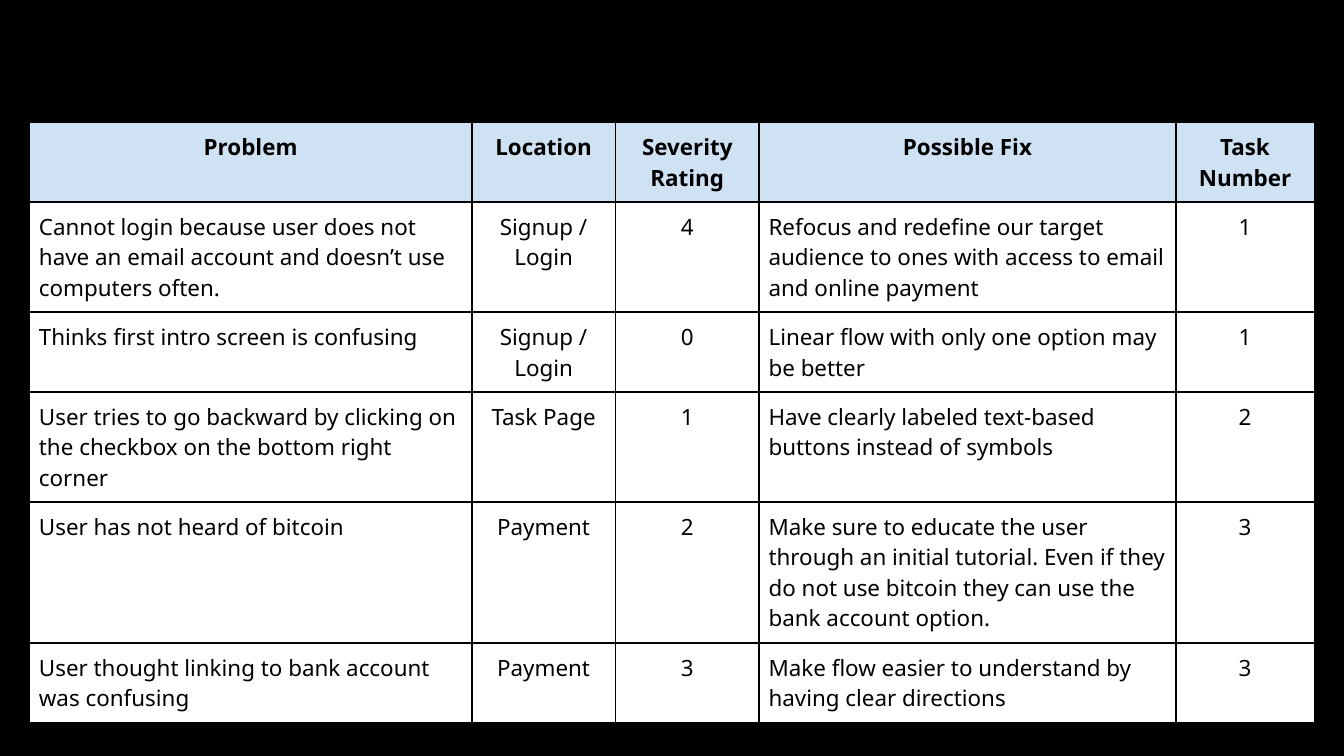
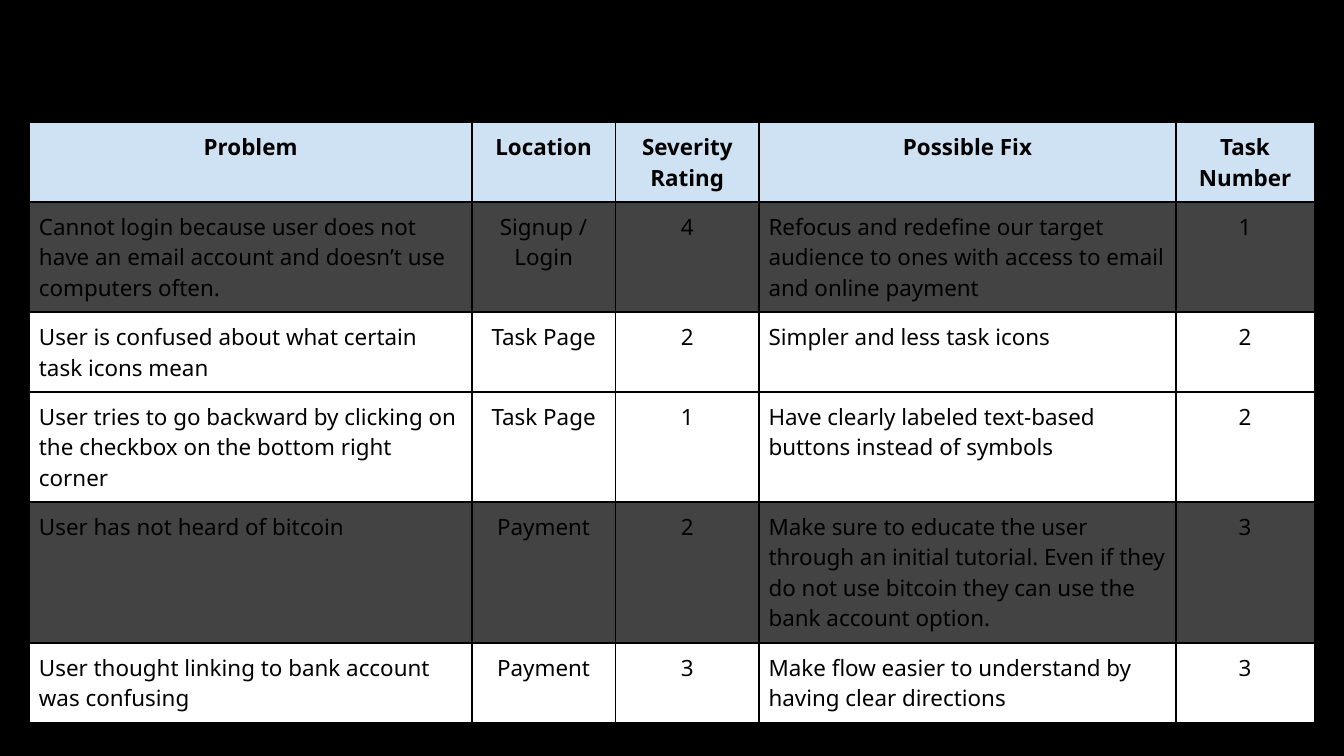
import pptx
import pptx.dml.color
import pptx.enum.text
import pptx.oxml
import pptx.oxml.ns
import pptx.util

Pt = pptx.util.Pt
COLOURS = {"black": "000000", "header": "CFE2F3", "white": "FFFFFF", "dimmed": "434343"}
FONT = "Noto Sans"
COLUMN_WIDTHS = [236.9, 77, 77, 223.2, 74.2]
LEFT_ALIGNED = {0, 3}
TABLE_LEFT, TABLE_TOP, FRAME_SIZE = 15.84, 65.5, 236.2
ROW_HEIGHT = 0.72
CELL_MARGIN = 5.04

HEADINGS = ["Problem", "Location", "Severity Rating", "Possible Fix", "Task Number"]
NO_EMAIL = [
    "Cannot login because user does not have an email account and doesn’t use computers often.",
    "Signup / Login", "4",
    "Refocus and redefine our target audience to ones with access to email and online payment",
    "1",
]
CONFUSING_INTRO = [
    "Thinks first intro screen is confusing", "Signup / Login", "0",
    "Linear flow with only one option may be better", "1",
]
CONFUSING_ICONS = [
    "User is confused about what certain task icons mean", "Task Page", "2",
    "Simpler and less task icons", "2",
]
GOING_BACK = [
    "User tries to go backward by clicking on the checkbox on the bottom right corner",
    "Task Page", "1", "Have clearly labeled text-based buttons instead of symbols", "2",
]
UNKNOWN_BITCOIN = [
    "User has not heard of bitcoin", "Payment", "2",
    "Make sure to educate the user through an initial tutorial. "
    "Even if they do not use bitcoin they can use the bank account option.",
    "3",
]
BANK_LINKING = [
    "User thought linking to bank account was confusing", "Payment", "3",
    "Make flow easier to understand by having clear directions", "3",
]


def colour(name):
    """Return the named colour as an RGBColor."""
    return pptx.dml.color.RGBColor.from_string(COLOURS[name])


def add_borders(cell):
    """Draw a one-point black line on all four sides of a cell."""
    properties = cell._tc.get_or_add_tcPr()
    for index, side in enumerate(("lnL", "lnR", "lnT", "lnB")):
        line = pptx.oxml.parse_xml(
            f'<a:{side} {pptx.oxml.ns.nsdecls("a")} w="{Pt(1)}"><a:solidFill>'
            f'<a:srgbClr val="{COLOURS["black"]}"/></a:solidFill></a:{side}>'
        )
        properties.insert(index, line)


def fill_cell(cell, text, fill, centred, bold):
    """Write and format one table cell."""
    cell.margin_left = cell.margin_right = Pt(CELL_MARGIN)
    cell.margin_top = cell.margin_bottom = Pt(CELL_MARGIN)
    cell.fill.solid()
    cell.fill.fore_color.rgb = colour(fill)
    add_borders(cell)
    para = cell.text_frame.paragraphs[0]
    para.text = text
    align = pptx.enum.text.PP_ALIGN
    para.alignment = align.CENTER if centred else align.LEFT
    font = para.runs[0].font
    font.name, font.size, font.bold = FONT, Pt(12), bold
    font.color.rgb = colour("black")


def add_problem_table(page, problems, dimmed):
    """Add the headings and problems, darkening the dimmed rows."""
    rows = [HEADINGS, *problems]
    frame = page.shapes.add_table(
        len(rows), len(HEADINGS), Pt(TABLE_LEFT), Pt(TABLE_TOP),
        Pt(sum(COLUMN_WIDTHS)), Pt(ROW_HEIGHT * len(rows)),
    )
    table = frame.table
    table.first_row = table.horz_banding = False
    for column, width in zip(table.columns, COLUMN_WIDTHS):
        column.width = Pt(width)
    for row_index, row in enumerate(rows):
        is_header = row_index == 0
        fill = "header" if is_header else "dimmed" if row in dimmed else "white"
        for column_index, text in enumerate(row):
            centred = is_header or column_index not in LEFT_ALIGNED
            fill_cell(table.cell(row_index, column_index), text, fill, centred, is_header)
    frame.width = frame.height = Pt(FRAME_SIZE)


def add_page(deck, problems, dimmed=()):
    """Add a black page with its problem table."""
    page = deck.slides.add_slide(deck.slide_layouts[6])
    page.background.fill.solid()
    page.background.fill.fore_color.rgb = colour("black")
    add_problem_table(page, problems, dimmed)


def main():
    """Build and save the deck."""
    deck = pptx.Presentation()
    deck.slide_width, deck.slide_height = Pt(720), Pt(405)
    shared = [GOING_BACK, UNKNOWN_BITCOIN, BANK_LINKING]
    add_page(deck, [NO_EMAIL, CONFUSING_INTRO, *shared])
    add_page(deck, [NO_EMAIL, CONFUSING_ICONS, *shared], [NO_EMAIL, UNKNOWN_BITCOIN])
    deck.save("out.pptx")


main()
